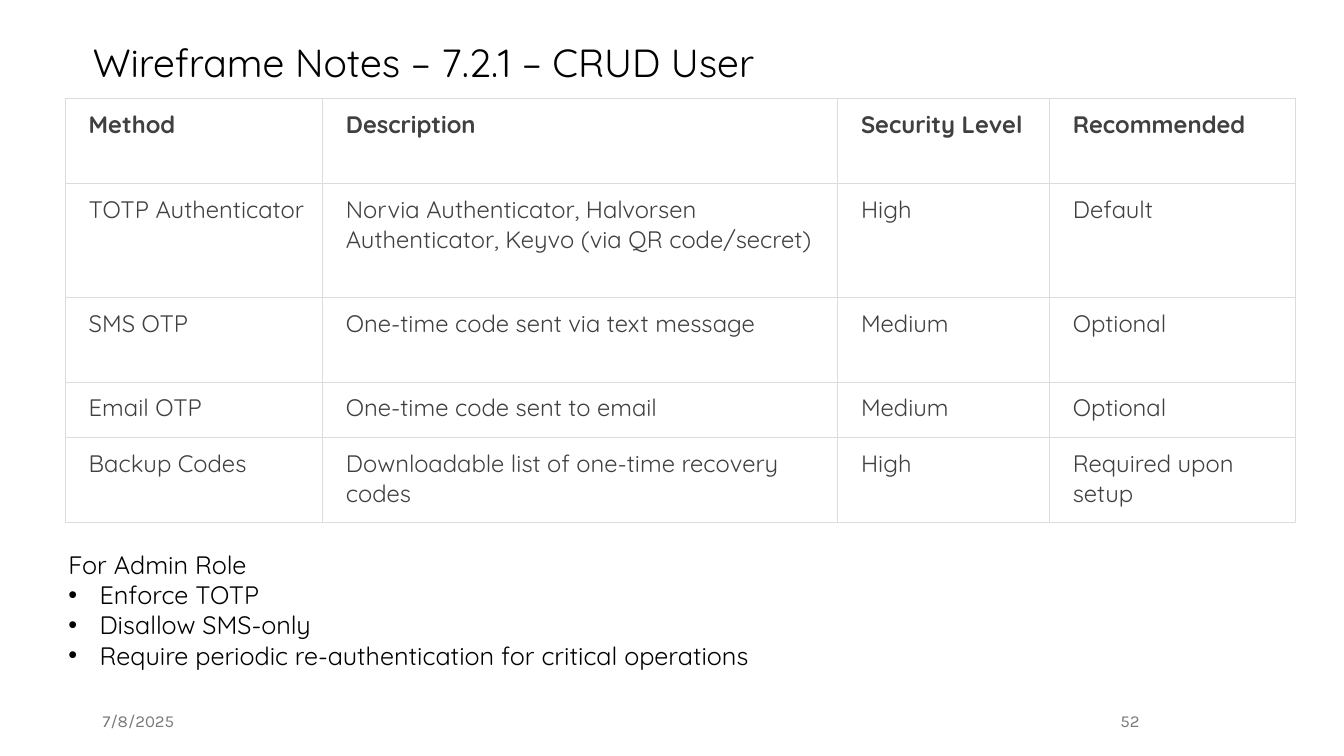
from lxml.etree import SubElement
from pptx import Presentation
from pptx.dml.color import RGBColor
from pptx.enum.text import MSO_ANCHOR, PP_ALIGN
from pptx.oxml.ns import qn
from pptx.util import Inches, Pt

COLORS = {"ink": "000000", "cell": "404040", "footer": "797979", "border": "D8DEDC"}
BODY_FONT, FOOTER_FONT = "Quicksand", "Karla"

TITLE = "Wireframe Notes – 7.2.1 – CRUD User"
METHODS = [
    ("Method", "Description", "Security Level", "Recommended"),
    ("TOTP Authenticator",
     "Norvia Authenticator, Halvorsen Authenticator, Keyvo (via QR code/secret)",
     "High", "Default"),
    ("SMS OTP", "One-time code sent via text message", "Medium", "Optional"),
    ("Email OTP", "One-time code sent to email", "Medium", "Optional"),
    ("Backup Codes", "Downloadable list of one-time recovery codes",
     "High", "Required upon setup"),
]
COLUMN_WIDTHS = (2.55, 5.11, 2.1, 2.44)
ROW_HEIGHTS = (0.84, 1.13, 0.84, 0.55, 0.84)
ADMIN_HEADING = "For Admin Role"
ADMIN_RULES = [
    "Enforce TOTP",
    "Disallow SMS-only",
    "Require periodic re-authentication for critical operations",
]
FOOTERS = [
    ("7/8/2025", (0.92, 6.95, 3, 0.4), PP_ALIGN.LEFT),
    ("52", (9.42, 6.95, 1.98, 0.4), PP_ALIGN.RIGHT),
]


def write(paragraph, text, size, color, font=BODY_FONT, bold=False):
    run = paragraph.add_run()
    run.text = text
    run.font.name = font
    run.font.size = Pt(size)
    run.font.bold = bold
    run.font.color.rgb = RGBColor.from_string(COLORS[color])


def add_text_frame(slide, box):
    frame = slide.shapes.add_textbox(*map(Inches, box)).text_frame
    frame.word_wrap = True
    return frame


def add_bullet(paragraph):
    properties = paragraph._p.get_or_add_pPr()
    properties.set("marL", str(Inches(0.31)))
    properties.set("indent", str(-Inches(0.31)))
    SubElement(properties, qn("a:buFont"), typeface="Arial")
    SubElement(properties, qn("a:buChar"), char="•")


def format_cell(cell):
    cell.margin_left, cell.margin_right = Inches(0.23), Inches(0.01)
    cell.margin_top = cell.margin_bottom = Inches(0.11)
    cell.vertical_anchor = MSO_ANCHOR.TOP
    properties = cell._tc.get_or_add_tcPr()
    for side in ("lnL", "lnR", "lnT", "lnB"):
        line = SubElement(properties, qn(f"a:{side}"), w=str(Pt(0.75)))
        fill = SubElement(line, qn("a:solidFill"))
        SubElement(fill, qn("a:srgbClr"), val=COLORS["border"])
    cell.fill.background()


def add_title(slide):
    title = slide.shapes.title
    title.left, title.top, title.width, title.height = map(Inches, (0.82, 0.38, 11.5, 0.53))
    frame = title.text_frame
    frame.word_wrap = True
    frame.vertical_anchor = MSO_ANCHOR.TOP
    paragraph = frame.paragraphs[0]
    paragraph.alignment = PP_ALIGN.LEFT
    paragraph.line_spacing = 0.9
    write(paragraph, TITLE, 28, "ink")


def add_method_table(slide):
    box = (0.65, 0.98, sum(COLUMN_WIDTHS), sum(ROW_HEIGHTS))
    table = slide.shapes.add_table(
        len(METHODS), len(COLUMN_WIDTHS), *map(Inches, box)).table
    table.horz_banding = False
    table.first_row = False
    for column, width in zip(table.columns, COLUMN_WIDTHS):
        column.width = Inches(width)
    for row_index, (row, height) in enumerate(zip(table.rows, ROW_HEIGHTS)):
        row.height = Inches(height)
        for cell, text in zip(row.cells, METHODS[row_index]):
            format_cell(cell)
            write(cell.text_frame.paragraphs[0], text, 17, "cell", bold=row_index == 0)


def add_admin_rules(slide):
    frame = add_text_frame(slide, (0.58, 5.4, 9.73, 1.31))
    write(frame.paragraphs[0], ADMIN_HEADING, 18, "ink")
    for rule in ADMIN_RULES:
        paragraph = frame.add_paragraph()
        add_bullet(paragraph)
        write(paragraph, rule, 18, "ink")


def add_footers(slide):
    for text, box, alignment in FOOTERS:
        frame = add_text_frame(slide, box)
        frame.vertical_anchor = MSO_ANCHOR.MIDDLE
        paragraph = frame.paragraphs[0]
        paragraph.alignment = alignment
        paragraph.space_after = Pt(6)
        write(paragraph, text, 12, "footer", FOOTER_FONT)


def main():
    presentation = Presentation()
    presentation.slide_width = Inches(13.33)
    presentation.slide_height = Inches(7.5)
    slide = presentation.slides.add_slide(presentation.slide_layouts[5])
    add_title(slide)
    add_method_table(slide)
    add_admin_rules(slide)
    add_footers(slide)
    presentation.save("out.pptx")


if __name__ == "__main__":
    main()
